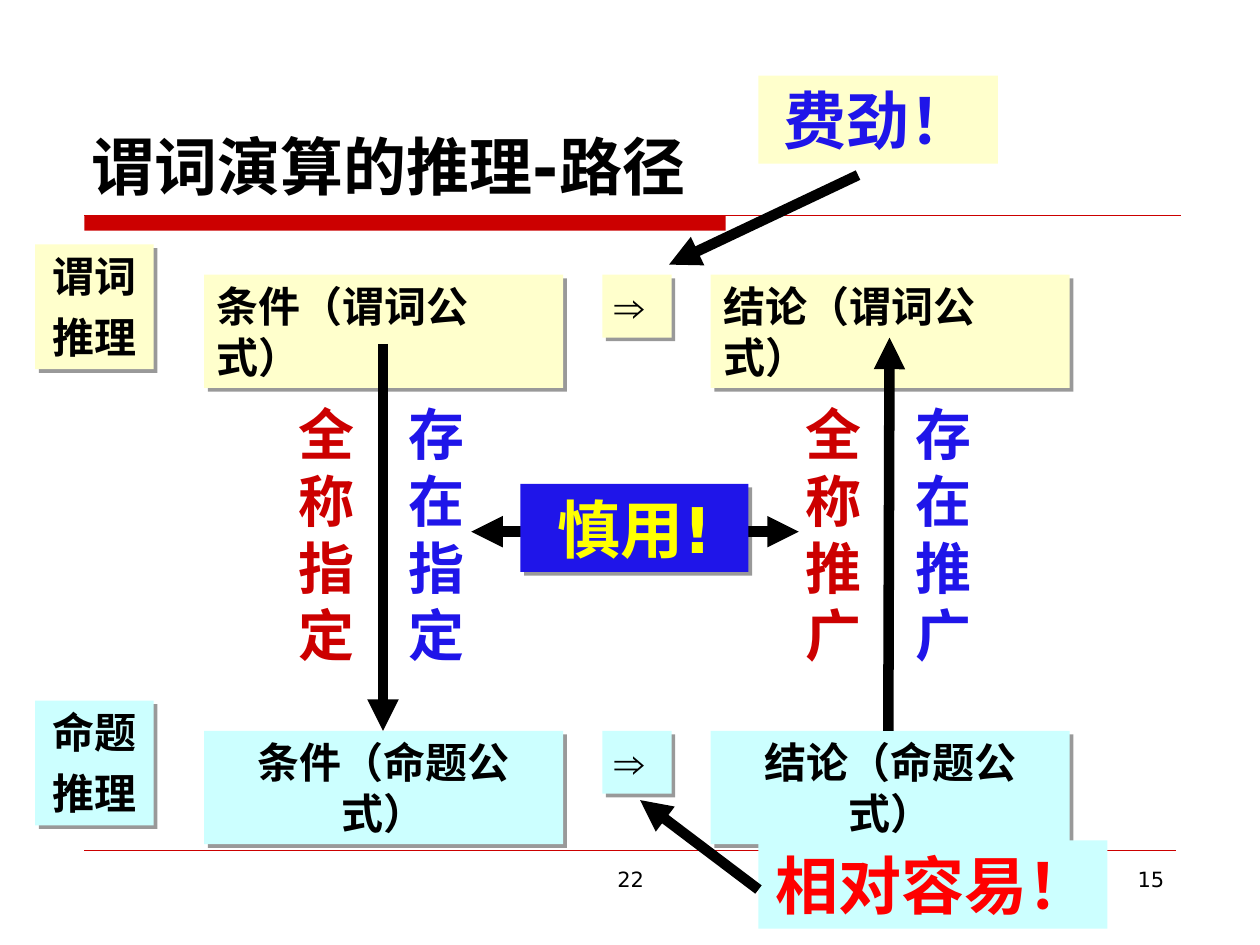
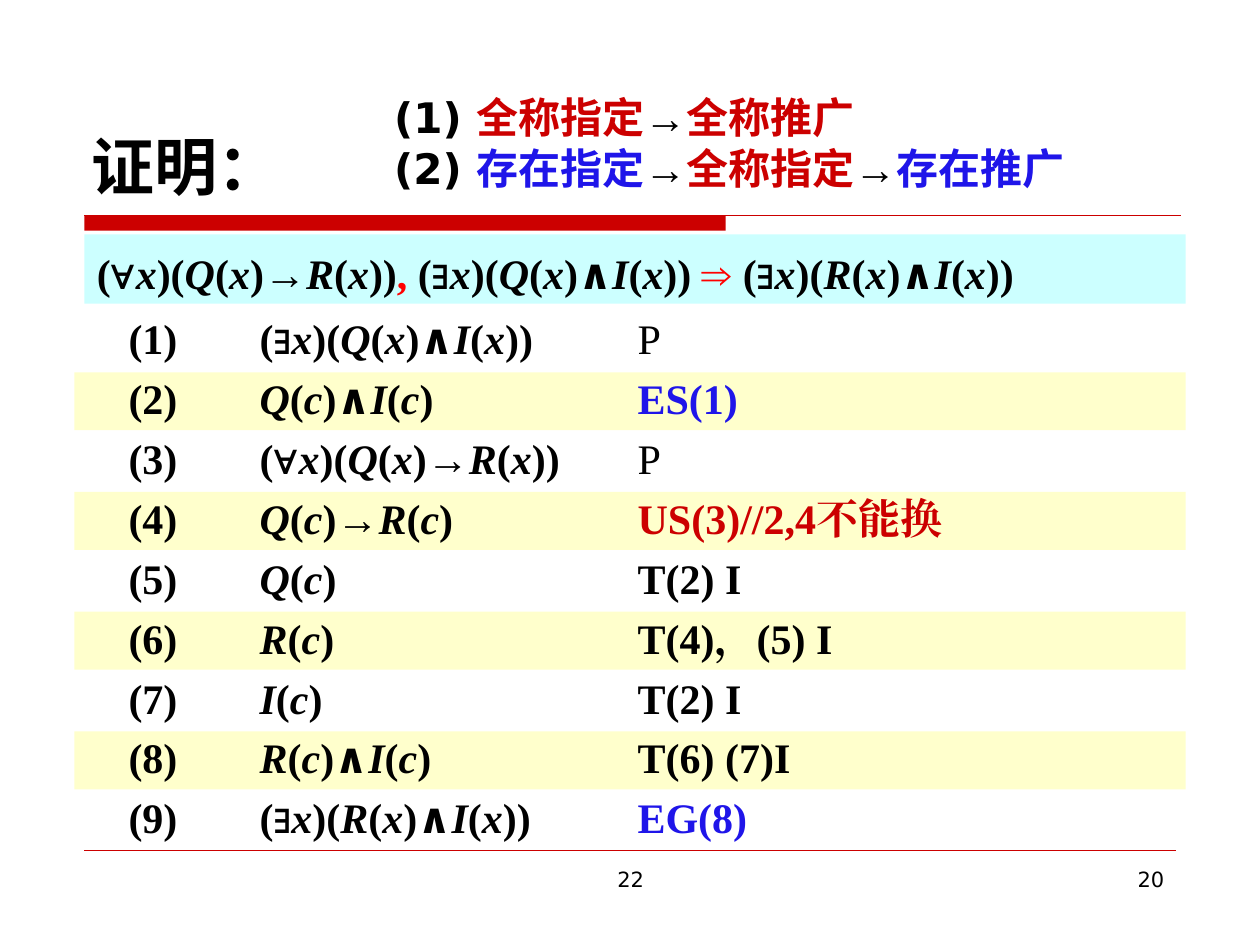
from collections import namedtuple
from itertools import groupby

from pptx import Presentation
from pptx import util as u
from pptx.dml import color as dml
from pptx.enum import shapes, text
from pptx.oxml import ns
from lxml import etree

COLORS = {
    "black": "000000",
    "crimson": "CC0000",
    "red": "FF0000",
    "blue": "1F15E9",
    "yellow": "FFFF00",
    "cream": "FFFFCC",
    "cyan": "CCFFFF",
}
SANS, SERIF, SYMBOL = "DejaVu Sans", "Times New Roman", "Arial"
LEFT, CENTER, RIGHT = text.PP_ALIGN.LEFT, text.PP_ALIGN.CENTER, text.PP_ALIGN.RIGHT

Piece = namedtuple("Piece", "text color font bold italic",
                   defaults=("black", SANS, True, False))


def rgb(name):
    return dml.RGBColor.from_string(COLORS[name])


def add_xml(parent, tag, **attributes):
    return etree.SubElement(parent, ns.qn(tag), attributes)


def glyph_style(character):
    if character in "∀∃→⇒":
        return SYMBOL, False
    if character == "∧":
        return SANS, False
    return SERIF, character in "QRIxc"


def formula(source, color="black"):
    return [Piece("".join(group), color, font, True, italic)
            for (font, italic), group in groupby(source, glyph_style)]


def format_run(run, piece, size):
    run.font.name = piece.font
    run.font.size = u.Pt(size)
    run.font.bold = piece.bold
    run.font.italic = piece.italic
    run.font.color.rgb = rgb(piece.color)
    for tag in ("a:ea", "a:cs"):
        add_xml(run.font._element, tag, typeface=piece.font)


def write(text_frame, lines, size, align=LEFT, gap=0, spacing=None):
    text_frame.word_wrap = True
    text_frame.auto_size = text.MSO_AUTO_SIZE.NONE
    for index, pieces in enumerate(lines):
        paragraph = text_frame.add_paragraph() if index else text_frame.paragraphs[0]
        paragraph.alignment = align
        paragraph.space_before = u.Pt(gap if index else 0)
        paragraph.line_spacing = spacing
        for piece in pieces:
            run = paragraph.add_run()
            run.text = piece.text
            format_run(run, piece, size)


def add_box(slide, left, top, width, height, fill=None, shadow=False):
    frame = [u.Inches(value) for value in (left, top, width, height)]
    if fill is None:
        shape = slide.shapes.add_textbox(*frame)
    else:
        shape = slide.shapes.add_shape(shapes.MSO_SHAPE.RECTANGLE, *frame)
        shape.fill.solid()
        shape.fill.fore_color.rgb = rgb(fill)
        shape.line.fill.background()
        shape.shadow.inherit = False
    if shadow:
        effects = shape._element.spPr.find(ns.qn("a:effectLst"))
        outer = add_xml(effects, "a:outerShdw", blurRad="0", dist="38100",
                        dir="2700000", algn="tl", rotWithShape="0")
        add_xml(add_xml(outer, "a:srgbClr", val=COLORS["black"]), "a:alpha", val="40000")
    shape.text_frame.vertical_anchor = text.MSO_ANCHOR.TOP
    return shape


def add_line(slide, start, end, color, width, ends=()):
    points = [u.Inches(value) for value in start + end]
    connector = slide.shapes.add_connector(shapes.MSO_CONNECTOR.STRAIGHT, *points)
    connector.line.color.rgb = rgb(color)
    connector.line.width = u.Pt(width)
    properties = connector._element.spPr
    for tag in ends:
        add_xml(properties.find(ns.qn("a:ln")), tag, type="triangle")
    add_xml(properties, "a:effectLst")


def add_arrow(slide, start, end, double=False):
    ends = ("a:headEnd", "a:tailEnd") if double else ("a:tailEnd",)
    add_line(slide, start, end, "black", 6, ends)


def add_slide(presentation, title, number):
    slide = presentation.slides.add_slide(presentation.slide_layouts[5])
    add_box(slide, 0.67, 1.71, 5.09, 0.12, "crimson")
    add_line(slide, (0.67, 1.71), (9.37, 1.71), "crimson", 0.75)
    add_line(slide, (0.67, 6.75), (9.33, 6.75), "crimson", 0.25)
    for label, left, width, align in (("22", 3.42, 3.17, CENTER), (number, 7.17, 2.17, RIGHT)):
        footer = add_box(slide, left, 6.83, width, 0.52)
        write(footer.text_frame, [[Piece(label, bold=False)]], 12, align)
    heading = slide.shapes.title
    heading.left, heading.top = u.Inches(0.63), u.Inches(0.33)
    heading.width, heading.height = u.Inches(8.75), u.Inches(1.33)
    heading.text_frame.vertical_anchor = text.MSO_ANCHOR.BOTTOM
    write(heading.text_frame, [[Piece(title)]], 36)
    return slide


def add_level(slide, top, fill, kind, align):
    for left, role in ((1.62, "条件"), (5.64, "结论")):
        box = add_box(slide, left, top, 2.85, 0.9, fill, True)
        write(box.text_frame, [[Piece(f"{role}（{kind}公式）")]], 24, align)
    implies = add_box(slide, 4.78, top, 0.55, 0.5, fill, True)
    write(implies.text_frame, [[Piece("⇒", font=SYMBOL)]], 24)
    label = add_box(slide, 0.28, top - 0.24, 0.94, 0.99, fill, True)
    write(label.text_frame, [[Piece(kind)], [Piece("推理")]], 24, CENTER, 6)


def add_rule_pair(slide, left, action):
    for offset, quantifier, color in ((0, "全称", "crimson"), (0.87, "存在", "blue")):
        column = add_box(slide, left + offset, 3.12, 0.71, 2.24)
        write(column.text_frame, [[Piece(quantifier + action, color)]], 32, CENTER)


def add_callout(slide, left, top, width, fill, words, color, shadow=False):
    callout = add_box(slide, left, top, width, 0.7, fill, shadow)
    write(callout.text_frame, [[Piece(words, color)]], 36, CENTER)


def build_path_slide(presentation):
    slide = add_slide(presentation, "谓词演算的推理-路径", "15")
    add_level(slide, 2.18, "cream", "谓词", LEFT)
    add_level(slide, 5.8, "cyan", "命题", CENTER)
    add_arrow(slide, (3.04, 2.73), (3.04, 5.8))
    add_arrow(slide, (7.05, 5.8), (7.06, 2.68))
    add_rule_pair(slide, 2.24, "指定")
    add_rule_pair(slide, 6.26, "推广")
    add_callout(slide, 6.02, 0.6, 1.9, "cream", "费劲！", "blue")
    add_arrow(slide, (6.81, 1.39), (5.31, 2.1))
    add_callout(slide, 6.02, 6.67, 2.77, "cyan", "相对容易！", "red")
    add_arrow(slide, (6.02, 7.06), (5.08, 6.35))
    add_arrow(slide, (6.34, 4.22), (3.74, 4.22), double=True)
    add_callout(slide, 4.13, 3.84, 1.81, "blue", "慎用!", "yellow", True)


def add_proof_step(slide, index, statement, reason, color="black", bold=True):
    top = 2.48 + index * 3.8 / 8
    row = add_box(slide, 0.59, top, 8.82, 0.46, "cream" if index % 2 else None)
    row.text_frame.margin_left = u.Inches(0.43)
    pieces = [Piece(f"({index + 1})\t", font=SERIF), *formula(statement),
              Piece("\t" + reason, color, SERIF, bold)]
    write(row.text_frame, [pieces], 24, spacing=0.9)
    properties = row.text_frame.paragraphs[0]._p.get_or_add_pPr()
    tabs = add_xml(properties, "a:tabLst")
    for position in (1.04, 4.04):
        add_xml(tabs, "a:tab", pos=str(u.Inches(position)), algn="l")


def build_proof_slide(presentation):
    slide = add_slide(presentation, "证明：", "20")
    claim = add_box(slide, 0.67, 1.86, 8.74, 0.55, "cyan")
    claim.text_frame.vertical_anchor = text.MSO_ANCHOR.BOTTOM
    pieces = (formula("(∀x)(Q(x)→R(x))") + formula(", ", "red")
              + formula("(∃x)(Q(x)∧I(x)) ") + formula("⇒ ", "red")
              + formula("(∃x)(R(x)∧I(x))"))
    write(claim.text_frame, [pieces], 24)

    steps = [
        ("(∃x)(Q(x)∧I(x))", "P", "black", False),
        ("Q(c)∧I(c)", "ES(1)", "blue"),
        ("(∀x)(Q(x)→R(x))", "P", "black", False),
        ("Q(c)→R(c)", "US(3)//2,4不能换", "crimson"),
        ("Q(c)", "T(2) I"),
        ("R(c)", "T(4)，(5) I"),
        ("I(c)", "T(2) I"),
        ("R(c)∧I(c)", "T(6) (7)I"),
        ("(∃x)(R(x)∧I(x))", "EG(8)", "blue"),
    ]
    for index, step in enumerate(steps):
        add_proof_step(slide, index, *step)

    arrow = Piece("→", font=SYMBOL)
    universal = Piece("全称指定", "crimson")
    orders = [
        [Piece("(1) "), universal, arrow, Piece("全称推广", "crimson")],
        [Piece("(2) "), Piece("存在指定", "blue"), arrow, universal, arrow,
         Piece("存在推广", "blue")],
    ]
    summary = add_box(slide, 3.03, 0.68, 5.9, 0.9)
    write(summary.text_frame, orders, 24)


def main():
    presentation = Presentation()
    presentation.slide_width = u.Inches(10)
    presentation.slide_height = u.Inches(7.5)
    build_path_slide(presentation)
    build_proof_slide(presentation)
    presentation.save("out.pptx")


main()
